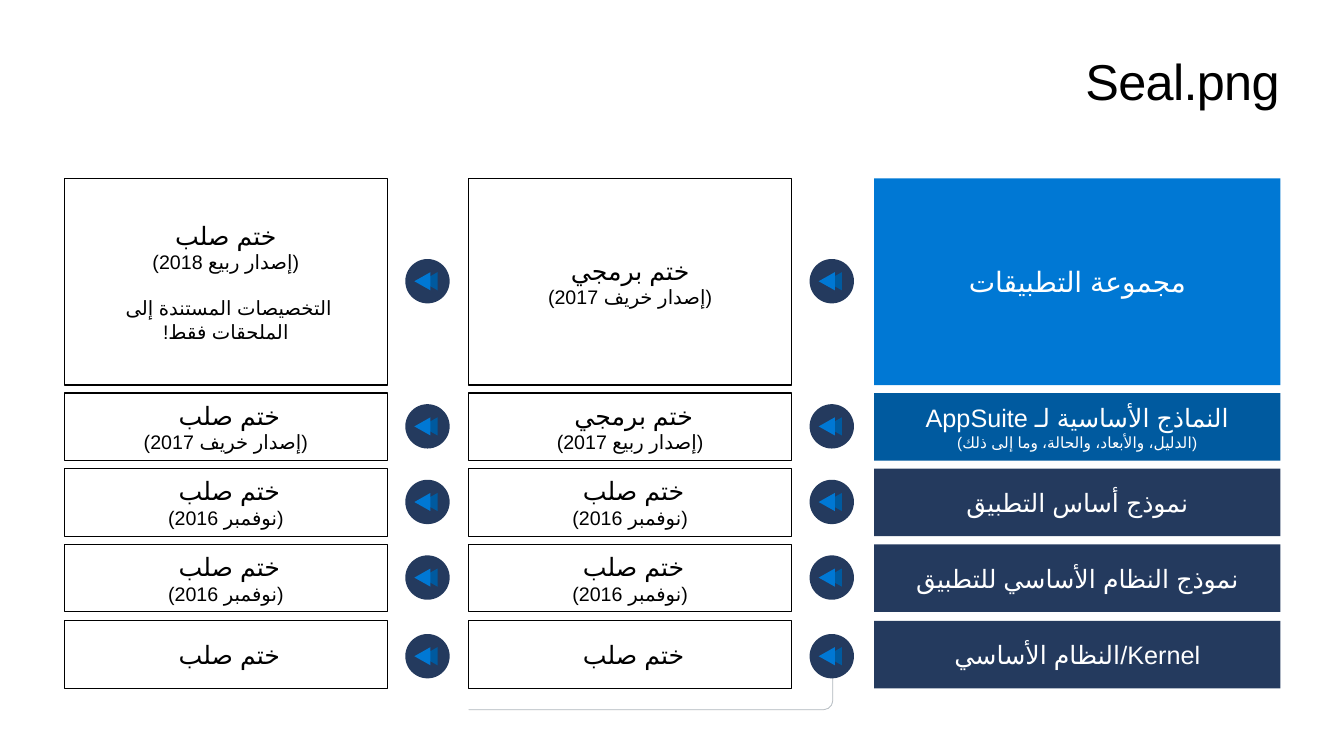
from lxml.etree import SubElement
from pptx import Presentation
from pptx.dml.color import RGBColor
from pptx.enum.lang import MSO_LANGUAGE_ID as Language
from pptx.enum.shapes import MSO_SHAPE as Shape
from pptx.enum.text import MSO_ANCHOR as Anchor, MSO_AUTO_SIZE as AutoSize, PP_ALIGN as Align
from pptx.oxml.ns import qn
from pptx.util import Inches, Pt

BLACK = RGBColor(0x00, 0x00, 0x00)
WHITE = RGBColor(0xFF, 0xFF, 0xFF)
GREY = RGBColor(0xBF, 0xBF, 0xBF)
NAVY = RGBColor(0x24, 0x3A, 0x5E)
DEEP_BLUE = RGBColor(0x00, 0x5A, 0x9F)
BLUE = RGBColor(0x00, 0x78, 0xD4)

FONT = "Arial"
HEAD, DATE = 18, 14

# Layer top, height, badge top
ROWS = [
    (1.77, 2.05, 2.57),
    (3.9, 0.67, 4.01),
    (4.65, 0.67, 4.76),
    (5.4, 0.67, 5.51),
    (6.16, 0.67, 6.29),
]
LAYER_LEFT, LAYER_WIDTH = 8.67, 4.03
SEAL_WIDTH = 3.2
BADGE_SIZE = 0.44

HARD = ("ختم صلب ", HEAD)
HARD_NOV = [HARD, ("(نوفمبر 2016)", DATE)]

# Layer colour, lines of text as (text, size)
LAYERS = [
    (BLUE, [("مجموعة التطبيقات", 20)]),
    (DEEP_BLUE, [("النماذج الأساسية لـ AppSuite", HEAD),
                 ("(الدليل، والأبعاد، والحالة، وما إلى ذلك)", 11)]),
    (NAVY, [("نموذج أساس التطبيق", HEAD)]),
    (NAVY, [("نموذج النظام الأساسي للتطبيق", HEAD)]),
    (NAVY, [("Kernel/النظام الأساسي", HEAD)]),
]

# Seal column left, badge left, seals from top to bottom
SEAL_COLUMNS = [
    (4.65, 8.03, [
        [("ختم برمجي", HEAD), ("(إصدار خريف 2017)", DATE)],
        [("ختم برمجي ", HEAD), ("(إصدار ربيع 2017)", DATE)],
        HARD_NOV,
        HARD_NOV,
        [HARD],
    ]),
    (0.64, 4.02, [
        [("ختم صلب", HEAD), ("(إصدار ربيع 2018)", DATE),
         ("التخصيصات المستندة إلى \vالملحقات فقط!", DATE)],
        [HARD, ("(إصدار خريف 2017)", DATE)],
        HARD_NOV,
        HARD_NOV,
        [HARD],
    ]),
]


def write_rtl(paragraph, text, size, color, align):
    paragraph.text = text
    paragraph.alignment = align
    paragraph._p.get_or_add_pPr().set("rtl", "1")
    for line_break in paragraph._p.findall(qn("a:br")):
        SubElement(line_break, qn("a:rPr"), sz=str(size * 100))
    font_format = {"size": Pt(size), "name": FONT, "language_id": Language.ARABIC}
    for run in paragraph.runs:
        for name, value in font_format.items():
            setattr(run.font, name, value)
        run.font.color.rgb = color
        SubElement(run._r.get_or_add_rPr(), qn("a:cs"), typeface=FONT)


def set_frame(frame, **settings):
    for name, value in settings.items():
        setattr(frame, name, value)


def add_plain(slide, kind, left, top, width, height, fill=None, line=None, line_width=0.85):
    """Add a shape without shadow; no fill or line colour means none is drawn."""
    shape = slide.shapes.add_shape(kind, Inches(left), Inches(top), Inches(width), Inches(height))
    shape.shadow.inherit = False
    if fill is None:
        shape.fill.background()
    else:
        shape.fill.solid()
        shape.fill.fore_color.rgb = fill
    if line is None:
        shape.line.fill.background()
    else:
        shape.line.color.rgb = line
        shape.line.width = Pt(line_width)
    return shape


def add_box(slide, left, top, width, height, lines, text_color, **colors):
    box = add_plain(slide, Shape.RECTANGLE, left, top, width, height, **colors)
    frame = box.text_frame
    set_frame(frame, word_wrap=True, vertical_anchor=Anchor.MIDDLE,
              margin_left=0, margin_right=0,
              margin_top=Inches(0.05), margin_bottom=Inches(0.05))
    for index, (text, size) in enumerate(lines):
        paragraph = frame.add_paragraph() if index else frame.paragraphs[0]
        write_rtl(paragraph, text, size, text_color, Align.CENTER)
        if index == 2:
            paragraph.space_before = Pt(16)


def add_badge(slide, left, top):
    """Add a round badge holding a double arrowhead that points left."""
    add_plain(slide, Shape.OVAL, left, top, BADGE_SIZE, BADGE_SIZE, fill=NAVY)
    for offset, color in ((0.15, DEEP_BLUE), (0.08, BLUE)):
        arrowhead = add_plain(slide, Shape.ISOSCELES_TRIANGLE, left + offset, top + 0.14,
                              0.18, 0.16, fill=color)
        arrowhead.rotation = 270


def add_return_path(slide):
    """Add the thin bent line below the middle column."""
    bend = add_plain(slide, Shape.BENT_ARROW, 6.12, 4.9, 0.67, 3.61,
                     fill=BLUE, line=GREY, line_width=0.5)
    bend.rotation = 90
    bend._element.spPr.xfrm.set("flipH", "1")
    for index, value in enumerate((0.25, 0, 0.25, 0.135)):
        bend.adjustments[index] = value


def set_title(slide, text):
    title = slide.shapes.title
    place = {"left": 0.64, "top": 0.5, "width": 12.05, "height": 0.61}
    for name, value in place.items():
        setattr(title, name, Inches(value))
    frame = title.text_frame
    set_frame(frame, word_wrap=True, vertical_anchor=Anchor.TOP,
              auto_size=AutoSize.SHAPE_TO_FIT_TEXT,
              margin_left=0, margin_right=0, margin_top=0, margin_bottom=0)
    write_rtl(frame.paragraphs[0], text, 36, BLACK, Align.RIGHT)
    frame.paragraphs[0].runs[0]._r.get_or_add_rPr().set("spc", "-50")


def main():
    deck = Presentation()
    deck.slide_width, deck.slide_height = Inches(13.33), Inches(7.5)
    slide = deck.slides.add_slide(deck.slide_layouts[5])
    set_title(slide, "Seal.png")
    add_return_path(slide)
    for (top, height, _), (color, lines) in zip(ROWS, LAYERS):
        add_box(slide, LAYER_LEFT, top, LAYER_WIDTH, height, lines, WHITE, fill=color)
    for left, badge_left, seals in SEAL_COLUMNS:
        for (top, height, badge_top), lines in zip(ROWS, seals):
            add_box(slide, left, top, SEAL_WIDTH, height, lines, BLACK, line=BLACK)
            add_badge(slide, badge_left, badge_top)
    deck.save("out.pptx")


if __name__ == "__main__":
    main()
